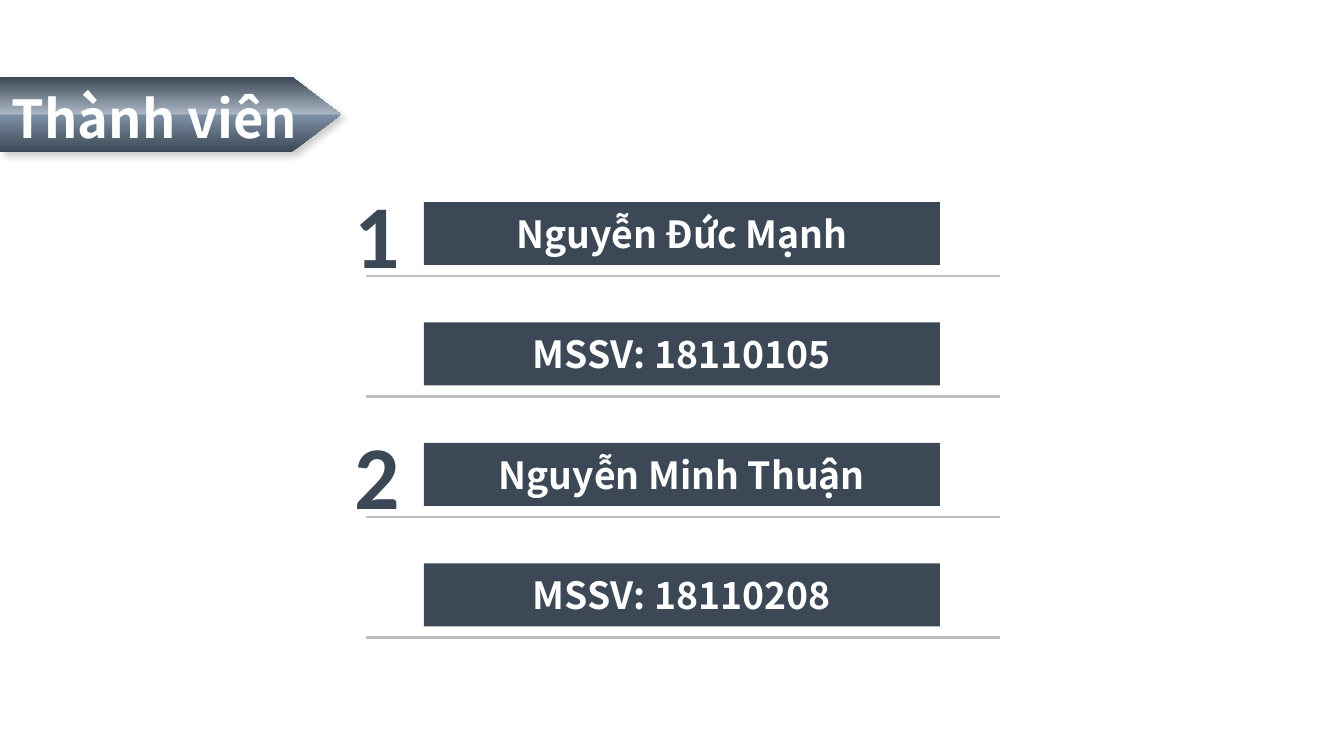
from lxml import etree
from pptx import Presentation
from pptx.dml.color import RGBColor
from pptx.enum.shapes import MSO_CONNECTOR, MSO_SHAPE
from pptx.enum.text import MSO_ANCHOR, MSO_AUTO_SIZE, PP_ALIGN
from pptx.oxml.ns import qn
from pptx.util import Emu, Pt

RECT, STRAIGHT = MSO_SHAPE.RECTANGLE, MSO_CONNECTOR.STRAIGHT
MIDDLE = MSO_ANCHOR.MIDDLE
LEFT, CENTER = PP_ALIGN.LEFT, PP_ALIGN.CENTER
NO_FIT, FIT_SHAPE = MSO_AUTO_SIZE.NONE, MSO_AUTO_SIZE.SHAPE_TO_FIT_TEXT

SLATE = RGBColor(0x3C, 0x48, 0x56)
STEEL = RGBColor(0x7E, 0x90, 0xA5)
MIST = RGBColor(0xA9, 0xB5, 0xC3)
RULE_GREY = RGBColor(0xBF, 0xBF, 0xBF)
WHITE = RGBColor(0xFF, 0xFF, 0xFF)
BLACK = RGBColor(0, 0, 0)

BODY_FONT, NUMBER_FONT = "Noto Sans CJK SC", "Calibri"
MEMBERS = [("Nguyễn Đức Mạnh", "MSSV: 18110105"),
           ("Nguyễn Minh Thuận", "MSSV: 18110208")]
FIRST_TOP, MEMBER_PITCH = 202, 241


def px(*lengths):
    """Turn pixel lengths into EMU."""
    return [Emu(round(n * 914400 / 134.4)) for n in lengths]


def write(sp, text, size, color, font=BODY_FONT, align=CENTER, wrap=True,
          fit=NO_FIT, insets=None):
    """Put one bold, vertically centred line of text into a shape."""
    tf = sp.text_frame
    tf.word_wrap = wrap
    tf.auto_size = fit
    tf.vertical_anchor = MIDDLE
    if insets:
        (tf.margin_left, tf.margin_top,
         tf.margin_right, tf.margin_bottom) = px(*insets)
    p = tf.paragraphs[0]
    p.alignment = align
    r = p.add_run()
    r.text = text
    r.font.name, r.font.size, r.font.bold = font, Pt(size), True
    r.font.color.rgb = color


def add_color(parent, color):
    """Append an RGB colour element."""
    return etree.SubElement(parent, qn("a:srgbClr"), val=str(color))


def add_banner(s):
    """Draw the arrow-ended banner with its gradient and shadow."""
    points = [px(x, y) for x, y in [(292, 77), (341, 114.5), (292, 152), (0, 152)]]
    fb = s.shapes.build_freeform(*px(0, 77))
    fb.add_line_segments(points, close=True)
    sp = fb.convert_to_shape()
    sp.shadow.inherit = False
    sp.line.fill.background()
    sp.fill.gradient()
    sp.fill.gradient_angle = 90
    spPr = sp.element.spPr
    stops = spPr.find(".//" + qn("a:gsLst"))
    for gs in list(stops):
        stops.remove(gs)
    for pos, color in [(0, SLATE), (49, STEEL), (51, MIST), (100, SLATE)]:
        add_color(etree.SubElement(stops, qn("a:gs"), pos=str(pos * 1000)), color)
    shadow = etree.SubElement(
        spPr.find(qn("a:effectLst")), qn("a:outerShdw"), blurRad=str(Pt(4)),
        dist=str(Pt(3)), dir="2700000", algn="tl", rotWithShape="0")
    etree.SubElement(add_color(shadow, BLACK), qn("a:alpha"), val="20000")


def add_title(s, text):
    """Lay the slide title over the banner."""
    sp = s.shapes.title
    sp.left, sp.top, sp.width, sp.height = px(0, 77, 341, 75)
    write(sp, text, 28, WHITE, insets=(0, 7, 32, 0))


def add_number(s, top, number):
    """Add a member's large number."""
    sp = s.shapes.add_textbox(*px(341, top, 73, 122))
    write(sp, str(number), 48, SLATE, font=NUMBER_FONT, align=LEFT,
          wrap=False, fit=FIT_SHAPE)


def add_bar(s, top, text):
    """Add a filled bar with the grey rule below it."""
    sp = s.shapes.add_shape(RECT, *px(424, top, 516, 63))
    sp.shadow.inherit = False
    sp.fill.solid()
    sp.fill.fore_color.rgb = SLATE
    sp.line.fill.background()
    write(sp, text, 20, WHITE)
    rule = s.shapes.add_connector(STRAIGHT, *px(366, top + 74, 1000, top + 74))
    rule.line.color.rgb = RULE_GREY
    rule.line.width = Pt(1.5)
    etree.SubElement(rule.element.spPr, qn("a:effectLst"))


def main():
    """Build the member slide and save it."""
    prs = Presentation()
    prs.slide_width, prs.slide_height = px(1344, 756)
    s = prs.slides.add_slide(prs.slide_layouts[5])
    add_banner(s)
    title = s.shapes.title
    s.shapes.element.append(title.element)
    add_title(s, "Thành viên")
    for i, lines in enumerate(MEMBERS):
        top = FIRST_TOP + i * MEMBER_PITCH
        add_number(s, top - 30, i + 1)
        for j, text in enumerate(lines):
            add_bar(s, top + j * MEMBER_PITCH / 2, text)
    prs.save("out.pptx")


main()
